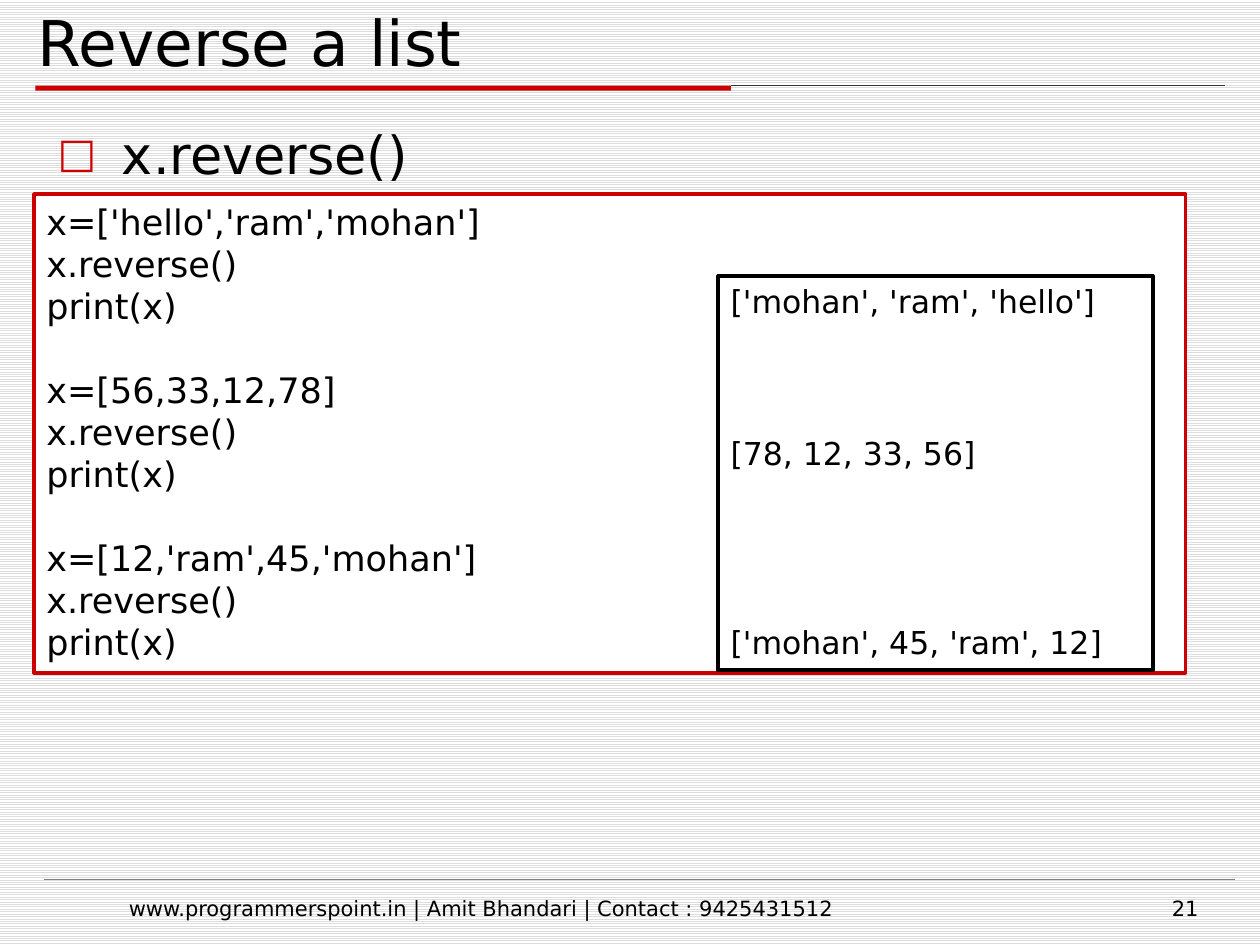
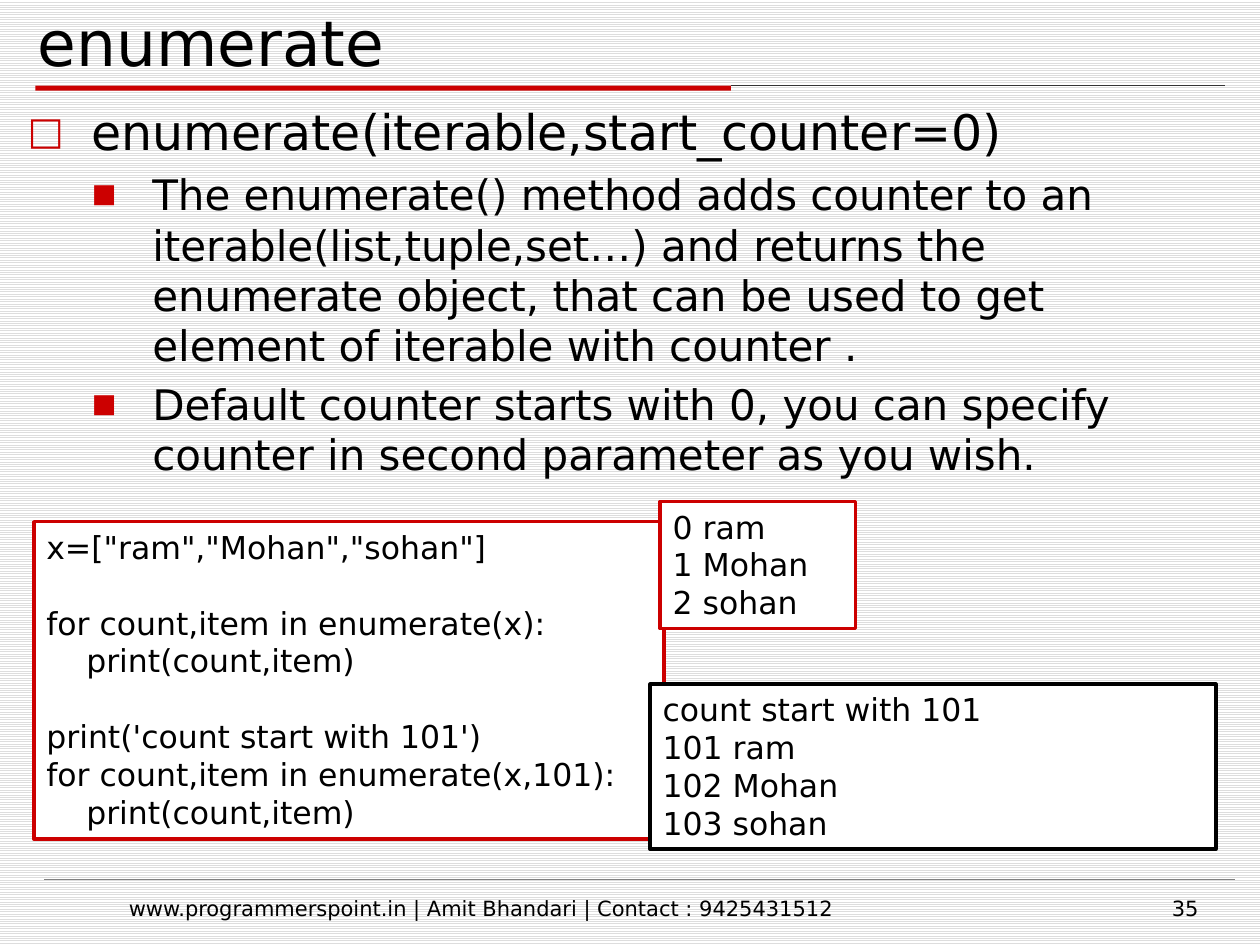
"""Build two Python lesson slides: reversing a list and enumerate."""
from lxml import etree
from pptx import Presentation
from pptx import util as u
from pptx.dml import color
from pptx.enum import dml, shapes, text
from pptx.oxml import ns

FONT = "DejaVu Sans"
RED, BLACK, WHITE = "CC0000", "000000", "FFFFFF"
DARK_GREY, GREY, STRIPE = "333333", "808080", "DDDDDD"
LINE_HEIGHT = 1.203
FOOTER = "www.programmerspoint.in | Amit Bhandari | Contact : 9425431512"
BULLETS = [("□", 78, 0.51, 0.53), ("■", 62, 0.99, 0.48)]


def rgb(value):
    return color.RGBColor.from_string(value)


def add_text(slide, box, content, size, align=text.PP_ALIGN.LEFT, border=None,
             anchor=text.MSO_ANCHOR.TOP, wrap=True, levels=(), space=0):
    """Add text lines; a blank line becomes space before the next paragraph."""
    place = [u.Inches(length) for length in box]
    if border:
        shape = slide.shapes.add_shape(shapes.MSO_SHAPE.RECTANGLE, *place)
        shape.shadow.inherit = False
        shape.fill.solid()
        shape.fill.fore_color.rgb = rgb(WHITE)
        shape.line.color.rgb = rgb(border)
        shape.line.width = u.Pt(2)
    else:
        shape = slide.shapes.add_textbox(*place)
    frame = shape.text_frame
    frame.word_wrap = wrap
    frame.vertical_anchor = anchor
    paragraph, blanks = None, 0
    for index, line in enumerate(content.split("\n")):
        if not line:
            blanks += 1
            continue
        first = paragraph is None
        paragraph = frame.paragraphs[0] if first else frame.add_paragraph()
        paragraph.alignment = align
        if not first:
            paragraph.space_before = u.Pt(round(space + blanks * size * LINE_HEIGHT, 1))
        blanks = 0
        font_size = size
        if levels:
            level = levels[index]
            character, percent, left, hanging = BULLETS[level]
            font_size = size - 4 * level
            paragraph.level = level
            properties = paragraph._p.get_or_add_pPr()
            properties.set("marL", str(u.Inches(left)))
            properties.set("indent", str(-u.Inches(hanging)))
            bullet_color = etree.SubElement(properties, ns.qn("a:buClr"))
            etree.SubElement(bullet_color, ns.qn("a:srgbClr"), val=RED)
            etree.SubElement(properties, ns.qn("a:buSzPct"), val=str(percent * 1000))
            etree.SubElement(properties, ns.qn("a:buFont"), typeface=FONT)
            etree.SubElement(properties, ns.qn("a:buChar"), char=character)
        run = paragraph.add_run()
        run.text = line
        run.font.name = FONT
        run.font.size = u.Pt(font_size)
        run.font.color.rgb = rgb(BLACK)


lessons = [
    dict(
        title="Reverse a list", title_width=3.63, number="21",
        body="x.reverse()", body_box=(0.36, 0.92, 9.29, 0.71), body_size=30, levels=[0],
        panels=[
            ((0.27, 1.54, 9.14, 3.8), RED, 20, """x=['hello','ram','mohan']
x.reverse()
print(x)

x=[56,33,12,78]
x.reverse()
print(x)

x=[12,'ram',45,'mohan']
x.reverse()
print(x)"""),
            ((5.7, 2.19, 3.45, 3.13), BLACK, 18, """['mohan', 'ram', 'hello']



[78, 12, 33, 56]




['mohan', 45, 'ram', 12]"""),
        ],
    ),
    dict(
        title="enumerate", title_width=2.95, number="35",
        body="""enumerate(iterable,start_counter=0)
The enumerate() method adds counter to an iterable(list,tuple,set…) and returns the \
enumerate object, that can be used to get element of iterable with counter .
Default counter starts with 0, you can specify counter in second parameter as you wish.""",
        body_box=(0.12, 0.76, 9.69, 3.23), body_size=28, levels=[0, 1, 1],
        panels=[
            ((0.27, 4.14, 5, 2.52), RED, 18, """x=["ram","Mohan","sohan"]

for count,item in enumerate(x):
    print(count,item)

print('count start with 101')
for count,item in enumerate(x,101):
    print(count,item)"""),
            ((5.24, 3.98, 1.55, 1.01), RED, 18, "0 ram\n1 Mohan\n2 sohan"),
            ((5.16, 5.43, 4.49, 1.31), BLACK, 18,
             "count start with 101\n101 ram\n102 Mohan\n103 sohan"),
        ],
    ),
]

presentation = Presentation()
presentation.slide_width = u.Inches(10)
presentation.slide_height = u.Inches(7.5)

for lesson in lessons:
    slide = presentation.slides.add_slide(presentation.slide_layouts[6])
    background = slide.background.fill
    background.patterned()
    background.pattern = dml.MSO_PATTERN.LIGHT_HORIZONTAL
    background.fore_color.rgb = rgb(STRIPE)
    background.back_color.rgb = rgb(WHITE)

    for left, right, top, line_color, width in [(5.8, 9.72, 0.68, DARK_GREY, 0.75),
                                                (0.35, 9.8, 6.98, GREY, 0.25)]:
        rule = slide.shapes.add_connector(
            shapes.MSO_CONNECTOR.STRAIGHT,
            u.Inches(left), u.Inches(top), u.Inches(right), u.Inches(top))
        rule.line.color.rgb = rgb(line_color)
        rule.line.width = u.Pt(width)
        etree.SubElement(rule._element.spPr, ns.qn("a:effectLst"))

    title_bar = slide.shapes.add_shape(
        shapes.MSO_SHAPE.RECTANGLE,
        u.Inches(0.28), u.Inches(0.68), u.Inches(5.52), u.Inches(0.04))
    title_bar.shadow.inherit = False
    title_bar.fill.solid()
    title_bar.fill.fore_color.rgb = rgb(RED)
    title_bar.line.fill.background()

    add_text(slide, (0.2, -0.03, lesson["title_width"], 0.71), lesson["title"], 36,
             anchor=text.MSO_ANCHOR.BOTTOM, wrap=False)
    add_text(slide, lesson["body_box"], lesson["body"], lesson["body_size"],
             levels=lesson["levels"], space=4.6)
    add_text(slide, (0.67, 7.06, 6.3, 0.28), FOOTER, 12, align=text.PP_ALIGN.CENTER)
    add_text(slide, (7.44, 7.06, 2.17, 0.28), lesson["number"], 12,
             align=text.PP_ALIGN.RIGHT)
    for box, border, size, content in lesson["panels"]:
        add_text(slide, box, content, size, border=border)

presentation.save("out.pptx")
